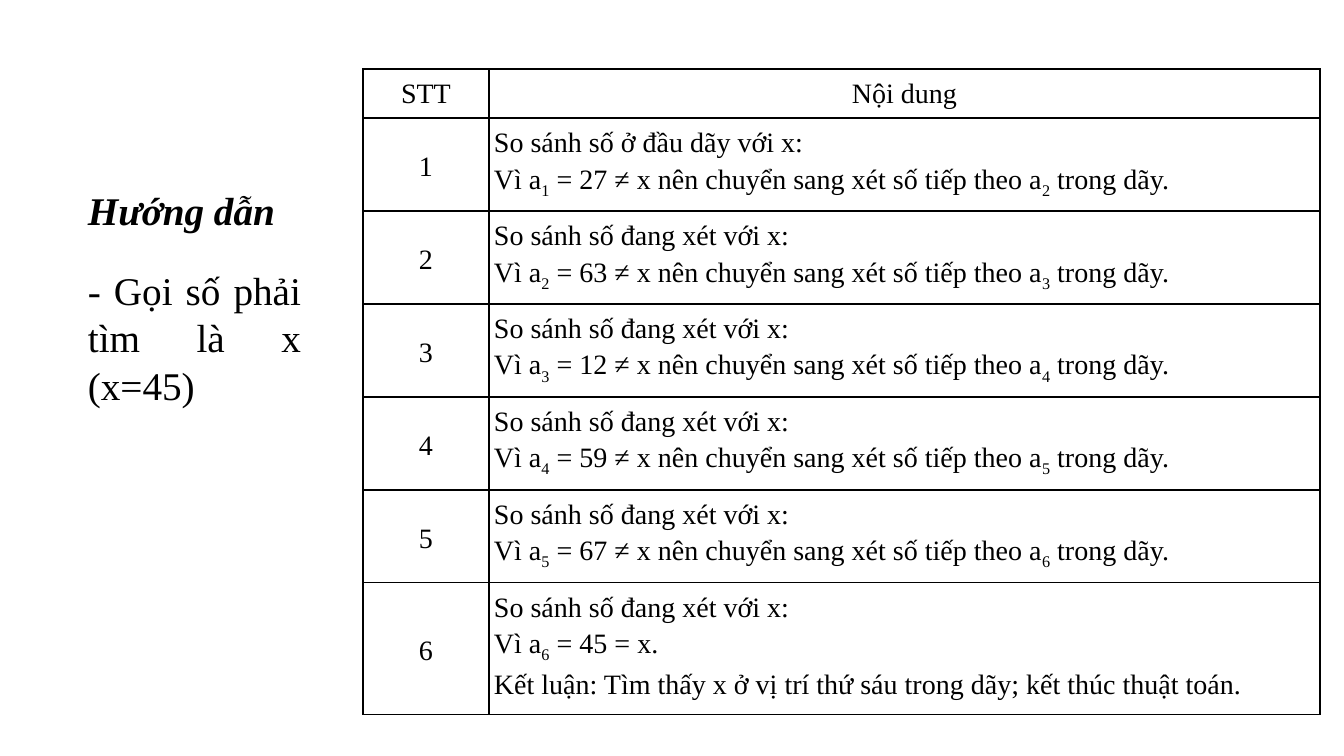
from dataclasses import dataclass

from lxml import etree
from pptx import Presentation
from pptx.dml.color import RGBColor
from pptx.enum.text import MSO_ANCHOR, MSO_AUTO_SIZE, PP_ALIGN
from pptx.oxml.ns import qn
from pptx.util import Emu, Pt

CENTER, JUSTIFY = PP_ALIGN.CENTER, PP_ALIGN.JUSTIFY
TOP, MIDDLE = MSO_ANCHOR.TOP, MSO_ANCHOR.MIDDLE
GROW = MSO_AUTO_SIZE.SHAPE_TO_FIT_TEXT
BLACK = RGBColor(0x00, 0x00, 0x00)
FONT = "Times New Roman"
EMU_PER_INCH = 914400
PX_PER_INCH = 100.8
BORDER_PT = 1
COLUMN_WIDTHS = (126, 831)
HEADER_HEIGHT = 49
CELL_MARGIN = 5


@dataclass
class Run:
    text: str
    subscript: bool = False


@dataclass
class Step:
    number: int
    lines: list[list[Run]]
    height: int


def px(length: int) -> Emu:
    return Emu(round(length * EMU_PER_INCH / PX_PER_INCH))


def add_run(p, run: Run, size: int, emphasis: bool = False) -> None:
    r = p.add_run()
    r.text = run.text
    r.font.name = FONT
    r.font.size = Pt(size)
    r.font.color.rgb = BLACK
    r.font.bold = r.font.italic = emphasis
    if run.subscript:
        r._r.get_or_add_rPr().set("baseline", "-25000")


def add_borders(cell) -> None:
    properties = cell._tc.get_or_add_tcPr()
    for side in ("a:lnL", "a:lnR", "a:lnT", "a:lnB"):
        line = etree.SubElement(properties, qn(side), w=str(Pt(BORDER_PT)))
        fill = etree.SubElement(line, qn("a:solidFill"))
        etree.SubElement(fill, qn("a:srgbClr"), val=str(BLACK))


def fill_cell(cell, lines: list[list[Run]], align: PP_ALIGN, anchor: MSO_ANCHOR) -> None:
    add_borders(cell)
    cell.fill.background()
    cell.vertical_anchor = anchor
    cell.margin_left = cell.margin_right = px(CELL_MARGIN)
    cell.margin_top = cell.margin_bottom = px(CELL_MARGIN)
    tf = cell.text_frame
    for i, line in enumerate(lines):
        p = tf.add_paragraph() if i else tf.paragraphs[0]
        p.alignment = align
        p.line_spacing = 1.15
        for run in line:
            add_run(p, run, 20)


def make_steps(values: list[int]) -> list[Step]:
    steps = []
    for number, value in enumerate(values, 1):
        place = "ở đầu dãy" if number == 1 else "đang xét"
        lines = [[Run(f"So sánh số {place} với x:")], [Run("Vì a"), Run(str(number), True)]]
        if number < len(values):
            lines[1] += [
                Run(f" = {value} ≠ x nên chuyển sang xét số tiếp theo a"),
                Run(str(number + 1), True),
                Run(" trong dãy."),
            ]
            steps.append(Step(number, lines, 93))
        else:
            lines[1].append(Run(f" = {value} = x."))
            lines.append([Run("Kết luận: Tìm thấy x ở vị trí thứ sáu trong dãy; kết thúc thuật toán.")])
            steps.append(Step(number, lines, 132))
    return steps


def add_steps_table(s, steps: list[Step]) -> None:
    heights = [HEADER_HEIGHT] + [step.height for step in steps]
    table = s.shapes.add_table(
        len(heights), len(COLUMN_WIDTHS), px(363), px(69), px(sum(COLUMN_WIDTHS)), px(sum(heights))
    ).table
    table.first_row = table.horz_banding = False
    for column, width in zip(table.columns, COLUMN_WIDTHS):
        column.width = px(width)
    for row, height in zip(table.rows, heights):
        row.height = px(height)
    for i, heading in enumerate(("STT", "Nội dung")):
        fill_cell(table.cell(0, i), [[Run(heading)]], CENTER, TOP)
    for step in steps:
        fill_cell(table.cell(step.number, 0), [[Run(str(step.number))]], CENTER, MIDDLE)
        fill_cell(table.cell(step.number, 1), step.lines, JUSTIFY, TOP)


def add_guide(s) -> None:
    tf = s.shapes.add_textbox(px(78), px(180), px(233), px(234)).text_frame
    tf.word_wrap = True
    tf.auto_size = GROW
    tf.vertical_anchor = MIDDLE
    for i, text in enumerate(("Hướng dẫn", "- Gọi số phải tìm là x (x=45)")):
        p = tf.add_paragraph() if i else tf.paragraphs[0]
        p.alignment = JUSTIFY
        p.space_before = Pt(12 if i else 0)
        p.space_after = Pt(12)
        add_run(p, Run(text), 28, emphasis=i == 0)


def main() -> None:
    prs = Presentation()
    prs.slide_width, prs.slide_height = px(1344), px(756)
    s = prs.slides.add_slide(prs.slide_layouts[6])
    add_steps_table(s, make_steps([27, 63, 12, 59, 67, 45]))
    add_guide(s)
    prs.save("out.pptx")


if __name__ == "__main__":
    main()
